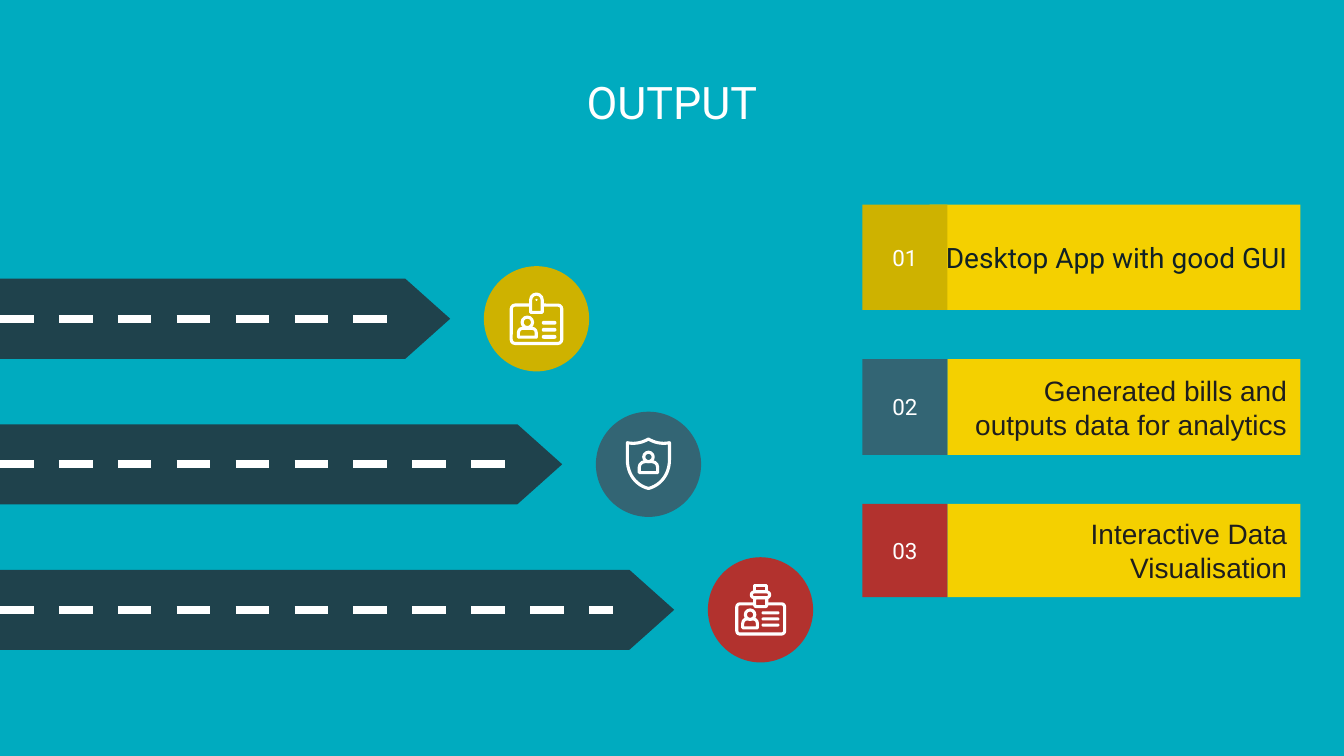
from dataclasses import dataclass

from lxml import etree
from pptx import Presentation
from pptx.dml.color import RGBColor
from pptx.enum.dml import MSO_LINE
from pptx.enum.shapes import MSO_CONNECTOR, MSO_SHAPE
from pptx.enum.text import MSO_ANCHOR, PP_ALIGN
from pptx.oxml.ns import qn
from pptx.util import Inches, Pt

RECT, OVAL, ARROW = MSO_SHAPE.RECTANGLE, MSO_SHAPE.OVAL, MSO_SHAPE.RIGHT_ARROW
ROUNDED, DOME = MSO_SHAPE.ROUNDED_RECTANGLE, MSO_SHAPE.ROUND_2_SAME_RECTANGLE
STRAIGHT, DASH = MSO_CONNECTOR.STRAIGHT, MSO_LINE.DASH
CENTER, RIGHT, MIDDLE = PP_ALIGN.CENTER, PP_ALIGN.RIGHT, MSO_ANCHOR.MIDDLE


@dataclass(frozen=True)
class Theme:
    sea: str = "00ABBF"
    road: str = "1F424C"
    white: str = "FFFFFF"
    yellow: str = "F4D000"
    gold: str = "CEB200"
    slate: str = "336574"
    red: str = "B2322E"
    ink: str = "1E1E1E"
    deep_ink: str = "102126"
    heading: str = "Roboto"
    body: str = "Arial"
    title_size: int = 32
    label_size: int = 20
    number_size: int = 16
    lane_width: int = 6
    icon_stroke: float = 2.2


THEME = Theme()
WIDTH, HEIGHT = Inches(13.33), Inches(7.5)
COL, ROW = WIDTH / 12, HEIGHT / 12

# Roads and discs step down the grid together
ROAD_END, FIRST_CENTER, ROW_STEP = 4.02, 5.06, 2.31
ROAD_HEIGHT, DISC_SIZE, DISC_COL = 1.27, 1.67, 4.79
LANE_ENDS = (3.47, 4.57, 5.47)
LABEL_LEFT, LABEL_RIGHT, NUMBER_WIDTH = 7.7, 11.61, 0.76


def color(code):
    return RGBColor.from_string(code)


def paint(shape, fill=None, line=None):
    shape.shadow.inherit = False
    if fill:
        shape.fill.solid()
        shape.fill.fore_color.rgb = color(fill)
    else:
        shape.fill.background()
    if line:
        shape.line.color.rgb = color(line)
        shape.line.width = Pt(THEME.icon_stroke)
    else:
        shape.line.fill.background()
    return shape


def add_block(page, kind, left, top, width, height, fill):
    shape = page.shapes.add_shape(kind, round(left * COL), round(top * ROW),
                                  round(width * COL), round(height * ROW))
    return paint(shape, fill)


def write(box, text, align, size, font, ink):
    frame = box.text_frame
    frame.word_wrap, frame.vertical_anchor = True, MIDDLE
    frame.margin_left = frame.margin_right = Inches(0.13)
    frame.margin_top = frame.margin_bottom = Inches(0.13)
    para = frame.paragraphs[0]
    para.alignment = align
    span = para.add_run()
    span.text = text
    span.font.size, span.font.name = Pt(size), font
    span.font.color.rgb = color(ink)


def add_road(page, index):
    middle = FIRST_CENTER + index * ROW_STEP
    road = add_block(page, ARROW, 0, middle - ROAD_HEIGHT / 2,
                     ROAD_END + index, ROAD_HEIGHT, THEME.road)
    road.adjustments[0], road.adjustments[1] = 1, 0.56
    y = round(middle * ROW)
    lane = page.shapes.add_connector(STRAIGHT, 0, y, round(LANE_ENDS[index] * COL), y)
    lane.line.color.rgb = color(THEME.white)
    lane.line.width, lane.line.dash_style = Pt(THEME.lane_width), DASH
    etree.SubElement(lane._element.spPr, qn("a:effectLst"))


def add_label(page, top, height, number, text, tint, font, ink, left):
    panel = add_block(page, RECT, left, top, LABEL_RIGHT - left, height, THEME.yellow)
    write(panel, text, RIGHT, THEME.label_size, font, ink)
    tag = add_block(page, RECT, LABEL_LEFT, top, NUMBER_WIDTH, height, tint)
    write(tag, number, CENTER, THEME.number_size, THEME.heading, THEME.white)


class Disc:
    """A round badge; its icon uses percent of the diameter from the centre."""

    def __init__(self, page, index, fill):
        self.page, self.fill = page, fill
        self.x = (DISC_COL + index) * COL
        self.y = (FIRST_CENTER + index * ROW_STEP) * ROW
        self.unit = DISC_SIZE * ROW / 100
        self.piece(OVAL, -50, -50, 100, 100, fill, None)

    def point(self, x, y):
        return round(self.x + x * self.unit), round(self.y + y * self.unit)

    def piece(self, kind, left, top, width, height, fill=None, line=THEME.white, bend=None):
        shape = self.page.shapes.add_shape(kind, *self.point(left, top),
                                           round(width * self.unit), round(height * self.unit))
        if bend is not None:
            shape.adjustments[0] = bend
        paint(shape, fill, line)

    def person(self, x, head_top, head, body_top, width, height):
        self.piece(DOME, x - width / 2, body_top, width, height, bend=0.5)
        self.piece(OVAL, x - head / 2, head_top, head, head, self.fill)

    def card(self, left, top, width, height):
        self.piece(ROUNDED, left, top, width, height, bend=0.1)

    def bars(self, left, top, step, width, height):
        for index in range(3):
            self.piece(ROUNDED, left, top + index * step, width, height,
                       THEME.white, None, 0.5)

    def shield(self):
        top = curve((0, -24), (6, -20.5), (13, -19), (20, -20.5))
        side = curve((20, -4), (20, 9), (12, 20), (0, 23))
        half = top + side
        outline = half + [(-x, y) for x, y in reversed(half)]
        points = [self.point(x, y) for x, y in outline]
        builder = self.page.shapes.build_freeform(*points[0])
        builder.add_line_segments(points[1:], close=True)
        paint(builder.convert_to_shape(), line=THEME.white)


def curve(start, pull_a, pull_b, end, steps=12):
    points = []
    for step in range(steps + 1):
        t = step / steps
        weights = ((1 - t) ** 3, 3 * t * (1 - t) ** 2, 3 * t * t * (1 - t), t ** 3)
        pulls = (start, pull_a, pull_b, end)
        points.append(tuple(sum(w * p[axis] for w, p in zip(weights, pulls))
                            for axis in (0, 1)))
    return points


def add_badge_disc(page):
    disc = Disc(page, 0, THEME.gold)
    disc.card(-24, -13, 48, 36.5)
    disc.piece(DOME, -5.5, -23.5, 11, 17.5, disc.fill, bend=0.5)
    disc.piece(OVAL, -1, -19, 2, 2, THEME.white, None)
    disc.person(-8.7, -1.6, 10, 9, 17, 8.5)
    disc.bars(5, 2, 6.7, 14, 3.6)


def add_shield_disc(page):
    disc = Disc(page, 1, THEME.slate)
    disc.shield()
    disc.person(0, -11.5, 9, -2.5, 17.5, 10.5)


def add_lanyard_disc(page):
    disc = Disc(page, 2, THEME.red)
    disc.card(-22.5, -5.7, 45.5, 28.7)
    disc.piece(ROUNDED, -5.5, -11.5, 11.5, 8.5, disc.fill, bend=0.2)
    disc.piece(RECT, -5.5, -23, 11.5, 6, disc.fill)
    disc.piece(ROUNDED, -8.7, -17, 17.5, 5.5, disc.fill, bend=0.5)
    disc.person(-9.9, 0.1, 9, 8.6, 14, 8.6)
    disc.bars(1, 1.4, 5.8, 17, 2.9)


def main():
    deck = Presentation()
    deck.slide_width, deck.slide_height = WIDTH, HEIGHT
    page = deck.slides.add_slide(deck.slide_layouts[6])
    page.background.fill.solid()
    page.background.fill.fore_color.rgb = color(THEME.sea)

    # Title
    title = page.shapes.add_textbox(round(0.94 * COL), round(0.94 * ROW),
                                    round(10.12 * COL), round(1.34 * ROW))
    write(title, "OUTPUT", CENTER, THEME.title_size, THEME.heading, THEME.white)

    # Roads and their discs
    for index in range(len(LANE_ENDS)):
        add_road(page, index)
    add_badge_disc(page)
    add_shield_disc(page)
    add_lanyard_disc(page)

    # Numbered outputs
    beside = LABEL_LEFT + NUMBER_WIDTH
    add_label(page, 3.25, 1.67, "01", "Desktop App with good GUI",
              THEME.gold, THEME.heading, THEME.deep_ink, 8.3)
    add_label(page, 5.7, 1.52, "02", "Generated bills and outputs data for analytics",
              THEME.slate, THEME.body, THEME.ink, beside)
    add_label(page, 8, 1.48, "03", "Interactive Data Visualisation",
              THEME.red, THEME.body, THEME.ink, beside)
    deck.save("out.pptx")


main()
